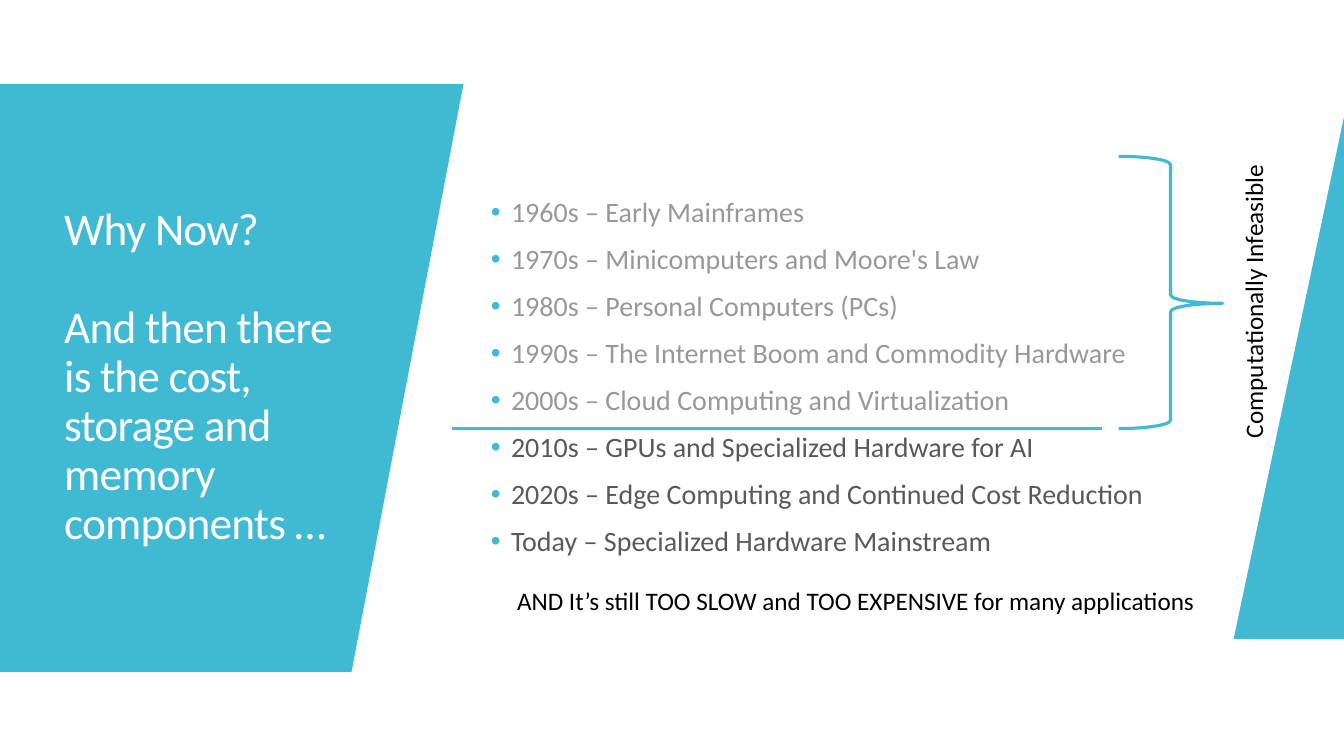
from dataclasses import dataclass

from lxml import etree
from pptx import Presentation
from pptx import util as u
from pptx.dml.color import RGBColor
from pptx.enum import shapes, text
from pptx.oxml.ns import qn


@dataclass(frozen=True)
class Theme:
    font: str = "Calibri"
    accent: str = "40BAD2"
    white: str = "FFFFFF"
    black: str = "000000"
    past: str = "989898"
    recent: str = "595959"
    title_size: float = 32.4
    body_size: float = 20
    note_size: float = 18
    line_width: float = 2.25


def add_bullet(paragraph, color, indent):
    properties = paragraph._p.get_or_add_pPr()
    properties.set("marL", str(indent))
    properties.set("indent", str(-indent))
    bullet_color = etree.SubElement(properties, qn("a:buClr"))
    etree.SubElement(bullet_color, qn("a:srgbClr"), val=color)
    etree.SubElement(properties, qn("a:buFont"), typeface="Arial")
    etree.SubElement(properties, qn("a:buChar"), char="•")


def write(paragraph, words, *, font, size, color, spacing=0, line_spacing=None,
          space_before=0, align=text.PP_ALIGN.LEFT, bullet_color=None):
    """Fill a paragraph; spacing is between letters, in points."""
    if bullet_color:
        add_bullet(paragraph, bullet_color, u.Cm(0.51))
    paragraph.alignment = align
    paragraph.space_before = u.Pt(space_before)
    if line_spacing:
        paragraph.line_spacing = line_spacing
    run = paragraph.add_run()
    run.text = words
    run.font.name = font
    run.font.size = u.Pt(size)
    run.font.color.rgb = RGBColor.from_string(color)
    if spacing:
        run.font._element.set("spc", str(round(spacing * 100)))


class SlideBuilder:
    def __init__(self, slide, theme):
        self.slide = slide
        self.theme = theme

    def panel(self, points):
        """Draw a filled polygon from corners in centimetres."""
        corners = [(u.Cm(x), u.Cm(y)) for x, y in points]
        builder = self.slide.shapes.build_freeform(*corners[0])
        builder.add_line_segments(corners[1:], close=True)
        shape = builder.convert_to_shape()
        shape.shadow.inherit = False
        shape.fill.solid()
        shape.fill.fore_color.rgb = RGBColor.from_string(self.theme.accent)
        shape.line.fill.background()

    def outline(self, line):
        line.color.rgb = RGBColor.from_string(self.theme.accent)
        line.width = u.Pt(self.theme.line_width)

    def divider(self, left, right, y):
        connector = self.slide.shapes.add_connector(
            shapes.MSO_CONNECTOR.STRAIGHT, u.Cm(left), u.Cm(y), u.Cm(right), u.Cm(y))
        self.outline(connector.line)
        etree.SubElement(connector._element.spPr, qn("a:effectLst"))

    def brace(self, *box, curve, tip):
        shape = self.slide.shapes.add_shape(
            shapes.MSO_SHAPE.RIGHT_BRACE, *map(u.Cm, box))
        shape.adjustments[0] = curve
        shape.adjustments[1] = tip
        shape.shadow.inherit = False
        shape.fill.background()
        self.outline(shape.line)

    def text_box(self, *box, lines, size, gap=0, rotation=0,
                 anchor=text.MSO_ANCHOR.TOP, **style):
        """Write (words, color) lines, with a gap in points between them."""
        shape = self.slide.shapes.add_textbox(*map(u.Cm, box))
        shape.rotation = rotation
        frame = shape.text_frame
        frame.word_wrap = True
        frame.vertical_anchor = anchor
        for index, (words, color) in enumerate(lines):
            paragraph = frame.add_paragraph() if index else frame.paragraphs[0]
            write(paragraph, words, font=self.theme.font, size=size, color=color,
                  space_before=gap if index else 0, **style)


PAST_DECADES = [
    "1960s – Early Mainframes",
    "1970s – Minicomputers and Moore's Law",
    "1980s – Personal Computers (PCs)",
    "1990s – The Internet Boom and Commodity Hardware",
    "2000s – Cloud Computing and Virtualization",
]
RECENT_DECADES = [
    "2010s – GPUs and Specialized Hardware for AI",
    "2020s – Edge Computing and Continued Cost Reduction",
    "Today – Specialized Hardware Mainstream",
]


def main():
    theme = Theme()
    presentation = Presentation()
    presentation.slide_width = u.Cm(33.87)
    presentation.slide_height = u.Cm(19.05)
    slide = presentation.slides.add_slide(presentation.slide_layouts[6])
    builder = SlideBuilder(slide, theme)

    builder.panel([(0, 2.12), (11.68, 2.12), (8.86, 16.93), (0, 16.93)])
    builder.text_box(
        1.37, 4.67, 7.7, 9.7,
        lines=[("Why Now?", theme.white),
               ("And then there is the cost, storage and memory components …",
                theme.white)],
        size=theme.title_size, gap=35, anchor=text.MSO_ANCHOR.MIDDLE,
        line_spacing=0.9, spacing=-0.6)
    builder.text_box(
        12.12, 4.67, 18.42, 9.7,
        lines=[(words, theme.past) for words in PAST_DECADES]
        + [(words, theme.recent) for words in RECENT_DECADES],
        size=theme.body_size, gap=12, anchor=text.MSO_ANCHOR.MIDDLE,
        line_spacing=0.9, bullet_color=theme.accent)

    builder.panel([(33.87, 2.95), (33.87, 16.1), (31.09, 16.1)])
    builder.divider(11.4, 27.76, 10.8)
    builder.brace(28.19, 3.94, 2.62, 6.86, curve=0.08, tip=0.54)
    builder.text_box(
        26.92, 7.09, 9.32, 1.02,
        lines=[("Computationally Infeasible", theme.black)],
        size=theme.note_size, rotation=270, align=text.PP_ALIGN.CENTER)
    builder.text_box(
        12.78, 14.63, 20.02, 1.02,
        lines=[("AND It’s still TOO SLOW and TOO EXPENSIVE for many applications",
                theme.black)],
        size=theme.note_size)

    presentation.save("out.pptx")


if __name__ == "__main__":
    main()
